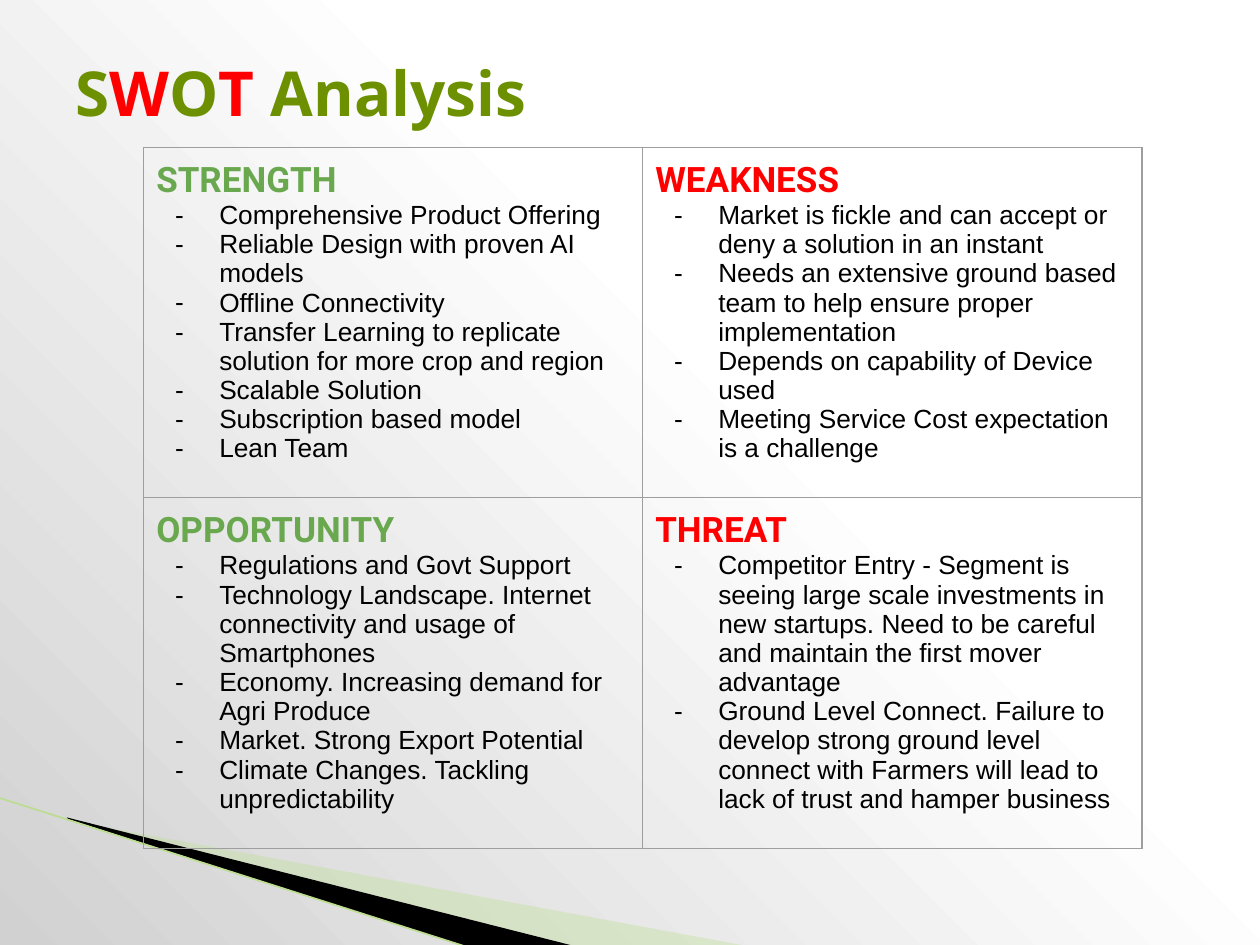
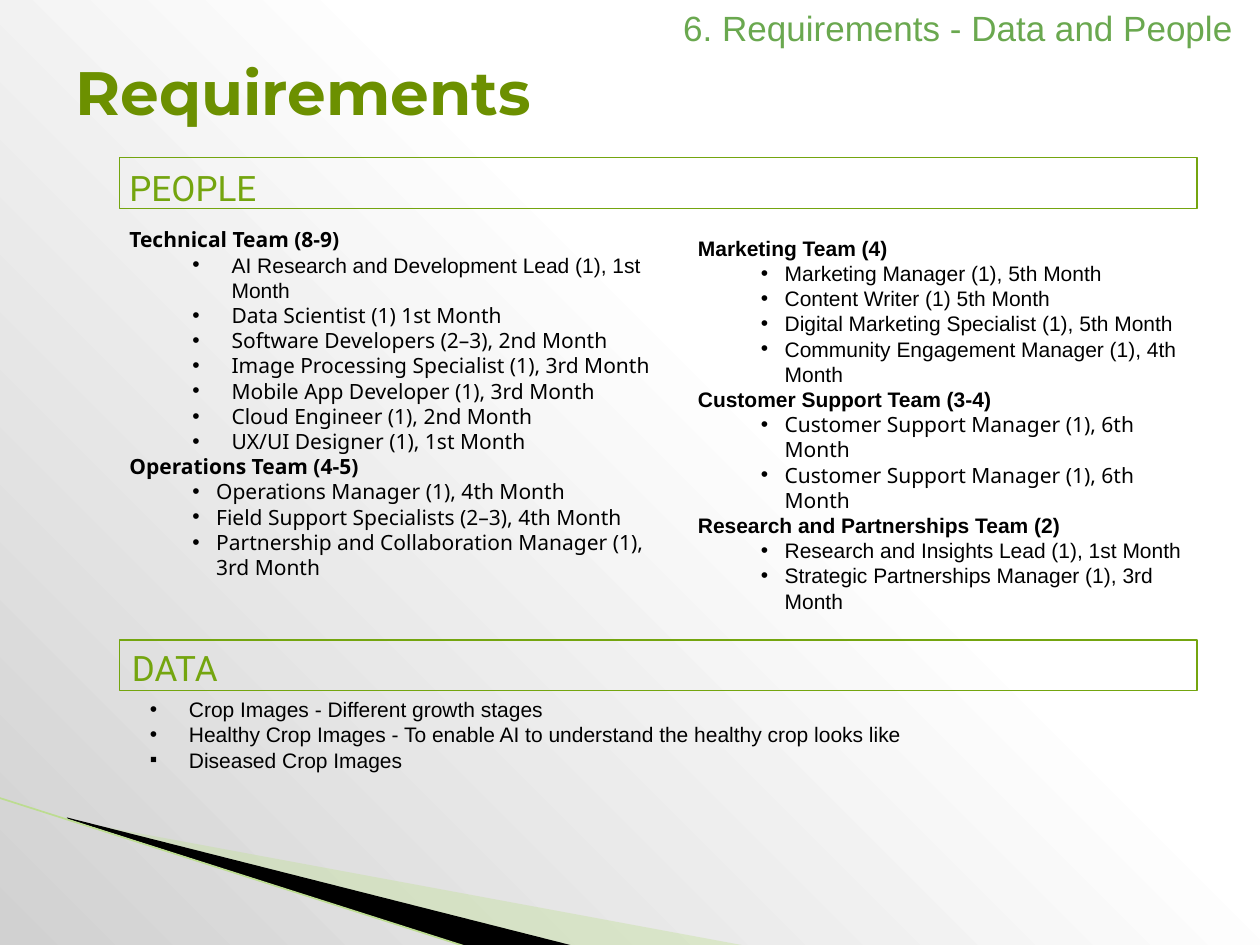
from dataclasses import dataclass, replace

import pptx
import pptx.dml.color
import pptx.enum.shapes
import pptx.enum.text
import pptx.oxml
import pptx.oxml.ns
import pptx.util
from lxml import etree
from pptx.util import Cm

COLOURS = {
    "title": "6C9000",
    "alert": "FF0000",
    "positive": "6AA84F",
    "band": "74A50F",
    "body": "000000",
    "grid": "9E9E9E",
    "wedge": "C2E099",
    "ridge": "000000",
    "edge": "BCDC90",
    "light": "FFFFFF",
    "shade": "D1D1D1",
}
qn = pptx.oxml.ns.qn


@dataclass(frozen=True)
class Style:
    font: str = "Arial"
    size: float = 12
    colour: str = "body"
    bold: bool = False
    bullet: str = ""
    margin: float = 0
    hang: float = 0
    level: int = 0
    spacing: float = 0


@dataclass(frozen=True)
class Line:
    text: str
    style: Style


@dataclass(frozen=True)
class Box:
    left: float
    top: float
    width: float
    height: float

    def lengths(self) -> list[int]:
        return [Cm(side) for side in (self.left, self.top, self.width, self.height)]


@dataclass(frozen=True)
class Wedge:
    points: tuple[tuple[float, float], ...]
    colour: str
    opacity: int = 100


@dataclass(frozen=True)
class Quadrant:
    heading: str
    colour: str
    points: tuple[str, ...]


WEDGES = (
    Wedge(((1.4, 16.54), (15.11, 19.08), (11.58, 19.08), (1.4, 16.51)), "wedge", 40),
    Wedge(((1.35, 16.48), (11.61, 19.08), (9.45, 19.1), (1.37, 16.51)), "ridge"),
)
TITLE_BOX = Box(1.27, 0.25, 22.86, 3.18)
BAND_HEADING = Style("Roboto", 20, "band")
SWOT_POINT = Style(size=15, bullet="-", margin=1.27, hang=0.89)
TEAM = Style("Noto Sans", bold=True, spacing=14.4)
TEAM_ARIAL = replace(TEAM, font="Arial")
ROLE = Style("Noto Sans", bullet="•", margin=1.75, hang=0.48, level=1, spacing=14.4)
ROLE_ARIAL = replace(ROLE, font="Arial")
TECH_ROLE = replace(ROLE, margin=2.06, hang=0.79)
DATA_ITEM = Style(bullet="•", margin=0.79, hang=0.79, spacing=14.4)

QUADRANTS = (
    Quadrant("STRENGTH", "positive", (
        "Comprehensive Product Offering",
        "Reliable Design with proven AI models",
        "Offline Connectivity",
        "Transfer Learning to replicate solution for more crop and region",
        "Scalable Solution",
        "Subscription based model",
        "Lean Team",
    )),
    Quadrant("WEAKNESS", "alert", (
        "Market is fickle and can accept or deny a solution in an instant",
        "Needs an extensive ground based team to help ensure proper implementation",
        "Depends on capability of Device used",
        "Meeting Service Cost expectation is a challenge",
    )),
    Quadrant("OPPORTUNITY", "positive", (
        "Regulations and Govt Support",
        "Technology Landscape. Internet connectivity and usage of Smartphones",
        "Economy. Increasing demand for Agri Produce",
        "Market. Strong Export Potential",
        "Climate Changes. Tackling unpredictability",
    )),
    Quadrant("THREAT", "alert", (
        "Competitor Entry - Segment is seeing large scale investments in new startups. "
        "Need to be careful and maintain the first mover advantage",
        "Ground Level Connect. Failure to develop strong ground level connect with "
        "Farmers will lead to lack of trust and hamper business",
    )),
)


def lines(style: Style, *texts: str) -> list[Line]:
    return [Line(text, style) for text in texts]


LEFT_TEAMS = [
    *lines(TEAM, "Technical Team (8-9)"),
    *lines(replace(TECH_ROLE, font="Arial"), "AI Research and Development Lead (1), 1st Month"),
    *lines(
        TECH_ROLE,
        "Data Scientist (1) 1st Month",
        "Software Developers (2–3), 2nd Month",
        "Image Processing Specialist (1), 3rd Month",
        "Mobile App Developer (1), 3rd Month",
        "Cloud Engineer (1), 2nd Month",
        "UX/UI Designer (1), 1st Month",
    ),
    *lines(TEAM, "Operations Team (4-5)"),
    *lines(
        ROLE,
        "Operations Manager (1), 4th Month",
        "Field Support Specialists (2–3), 4th Month",
        "Partnership and Collaboration Manager (1), 3rd Month",
    ),
]
RIGHT_TEAMS = [
    *lines(TEAM_ARIAL, "Marketing Team (4)"),
    *lines(
        ROLE_ARIAL,
        "Marketing Manager (1), 5th Month",
        "Content Writer (1) 5th Month",
        "Digital Marketing Specialist (1), 5th Month",
        "Community Engagement Manager (1), 4th Month",
    ),
    *lines(TEAM_ARIAL, "Customer Support Team (3-4)"),
    *lines(ROLE, *["Customer Support Manager (1), 6th Month"] * 2),
    *lines(TEAM_ARIAL, "Research and Partnerships Team (2)"),
    *lines(
        ROLE_ARIAL,
        "Research and Insights Lead (1), 1st Month",
        "Strategic Partnerships Manager (1), 3rd Month",
    ),
]
DATA_NEEDS = [
    *lines(
        DATA_ITEM,
        "Crop Images - Different growth stages",
        "Healthy Crop Images - To enable AI to understand the healthy crop looks like",
    ),
    *lines(replace(DATA_ITEM, bullet="▪"), "Diseased Crop Images"),
]


def rgb(colour: str) -> pptx.dml.color.RGBColor:
    return pptx.dml.color.RGBColor.from_string(COLOURS[colour])


def add_xml(parent: etree._Element, tag: str, **attributes: str) -> etree._Element:
    return etree.SubElement(parent, qn(tag), attributes)


def format_run(run, style: Style) -> None:
    run.font.name = style.font
    run.font.size = pptx.util.Pt(style.size)
    run.font.bold = style.bold
    run.font.color.rgb = rgb(style.colour)


def write_lines(text_frame, content: list[Line]) -> None:
    text_frame.text = "\n".join(line.text for line in content)
    for paragraph, line in zip(text_frame.paragraphs, content):
        style = line.style
        if style.bullet:
            paragraph.level = style.level
            properties = paragraph._p.get_or_add_pPr()
            properties.set("marL", str(Cm(style.margin)))
            properties.set("indent", str(-Cm(style.hang)))
            add_xml(add_xml(properties, "a:buClr"), "a:srgbClr", val=COLOURS["body"])
            add_xml(properties, "a:buFont", typeface="Arial")
            add_xml(properties, "a:buChar", char=style.bullet)
        if style.spacing:
            paragraph.line_spacing = pptx.util.Pt(style.spacing)
        for run in paragraph.runs:
            format_run(run, style)


def add_text(slide, box: Box, content: list[Line]):
    text_frame = slide.shapes.add_textbox(*box.lengths()).text_frame
    text_frame.word_wrap = True
    write_lines(text_frame, content)
    return text_frame


def add_title(slide, pieces: list[Line]) -> None:
    text_frame = add_text(slide, TITLE_BOX, [])
    text_frame.vertical_anchor = pptx.enum.text.MSO_ANCHOR.MIDDLE
    for piece in pieces:
        run = text_frame.paragraphs[0].add_run()
        run.text = piece.text
        format_run(run, piece.style)


def set_background(master) -> None:
    master.background.fill.gradient()
    gradient = master.element.xpath("./p:cSld/p:bg//a:gradFill")[0]
    for child in list(gradient):
        gradient.remove(child)
    stops = add_xml(gradient, "a:gsLst")
    for percent, colour in ((0, "light"), (40, "light"), (100, "shade")):
        stop = add_xml(stops, "a:gs", pos=str(percent * 1000))
        add_xml(stop, "a:srgbClr", val=COLOURS[colour])
    focus = add_xml(gradient, "a:path", path="circle")
    add_xml(focus, "a:fillToRect", l="100000", b="100000")


def add_wedge(slide, wedge: Wedge) -> None:
    start, *rest = [(Cm(x), Cm(y)) for x, y in wedge.points]
    builder = slide.shapes.build_freeform(*start, scale=1.0)
    builder.add_line_segments(rest, close=True)
    outline = builder.convert_to_shape()
    outline.shadow.inherit = False
    outline.fill.solid()
    outline.fill.fore_color.rgb = rgb(wedge.colour)
    outline.line.fill.background()
    if wedge.opacity < 100:
        colour = outline.element.spPr.find(qn("a:solidFill"))[0]
        add_xml(colour, "a:alpha", val=str(wedge.opacity * 1000))


def add_slide(deck):
    slide = deck.slides.add_slide(deck.slide_layouts[6])
    for wedge in WEDGES:
        add_wedge(slide, wedge)
    edge = slide.shapes.add_connector(
        pptx.enum.shapes.MSO_CONNECTOR.STRAIGHT, Cm(-0.03), Cm(16.08), Cm(9.45), Cm(19.1)
    )
    edge.line.color.rgb = rgb("edge")
    edge.line.width = pptx.util.Pt(0.95)
    add_xml(edge.element.spPr, "a:effectLst")
    return slide


def add_band(slide, top: float) -> None:
    band = slide.shapes.add_shape(
        pptx.enum.shapes.MSO_SHAPE.RECTANGLE, *Box(2.41, top, 21.72, 1.02).lengths()
    )
    band.shadow.inherit = False
    band.fill.background()
    band.line.color.rgb = rgb("band")
    band.line.width = pptx.util.Pt(0.75)


def add_borders(cell_properties: etree._Element) -> None:
    for position, side in enumerate(("a:lnL", "a:lnR", "a:lnT", "a:lnB")):
        border = add_xml(cell_properties, side, w=str(pptx.util.Pt(0.75)))
        add_xml(add_xml(border, "a:solidFill"), "a:srgbClr", val=COLOURS["grid"])
        cell_properties.insert(position, border)


def add_swot_table(slide) -> None:
    frame = slide.shapes.add_table(2, 2, *Box(2.9, 2.97, 20.12, 13.46).lengths())
    table = frame.table
    table.first_row = table.horz_banding = False
    for cell, quadrant in zip(table.iter_cells(), QUADRANTS):
        heading = Style("Roboto", 20, quadrant.colour, True)
        write_lines(
            cell.text_frame,
            [Line(quadrant.heading, heading), *lines(SWOT_POINT, *quadrant.points)],
        )
        cell.margin_left = cell.margin_right = Cm(0.25)
        cell.margin_top = cell.margin_bottom = Cm(0.25)
        cell.fill.background()
    for cell_properties in frame.element.iter(qn("a:tcPr")):
        add_borders(cell_properties)


def build_swot(deck) -> None:
    slide = add_slide(deck)
    helpful = Style("Noto Sans", 35.4, "title", True)
    harmful = replace(helpful, colour="alert")
    add_title(slide, [
        Line("S", helpful), Line("W", harmful), Line("O", helpful),
        Line("T", harmful), Line(" Analysis", helpful),
    ])
    add_swot_table(slide)


def build_requirements(deck) -> None:
    slide = add_slide(deck)
    add_title(slide, lines(Style("Montserrat", 35, "title", True), "Requirements"))
    add_text(slide, Box(2.41, 12.9, 2.77, 1.02), lines(BAND_HEADING, "DATA"))
    add_text(slide, Box(2.36, 3.23, 3.35, 0.94), lines(BAND_HEADING, "PEOPLE"))
    add_text(slide, Box(2.77, 13.92, 17.4, 1.8), DATA_NEEDS)
    add_text(slide, Box(2.36, 4.45, 11, 7.95), LEFT_TEAMS)
    add_text(slide, Box(13.82, 4.62, 10.31, 8.46), RIGHT_TEAMS)
    for top in (3.18, 12.9):
        add_band(slide, top)
    section = add_text(
        slide,
        Box(10.69, 0, 14.71, 1.42),
        lines(Style(size=20, colour="positive"), "6. Requirements - Data and People"),
    )
    section.margin_left = Cm(2.79)
    section.paragraphs[0].alignment = pptx.enum.text.PP_ALIGN.CENTER


def main() -> None:
    deck = pptx.Presentation()
    deck.slide_width, deck.slide_height = Cm(25.4), Cm(19.05)
    set_background(deck.slide_master)
    build_swot(deck)
    build_requirements(deck)
    deck.save("out.pptx")


if __name__ == "__main__":
    main()
